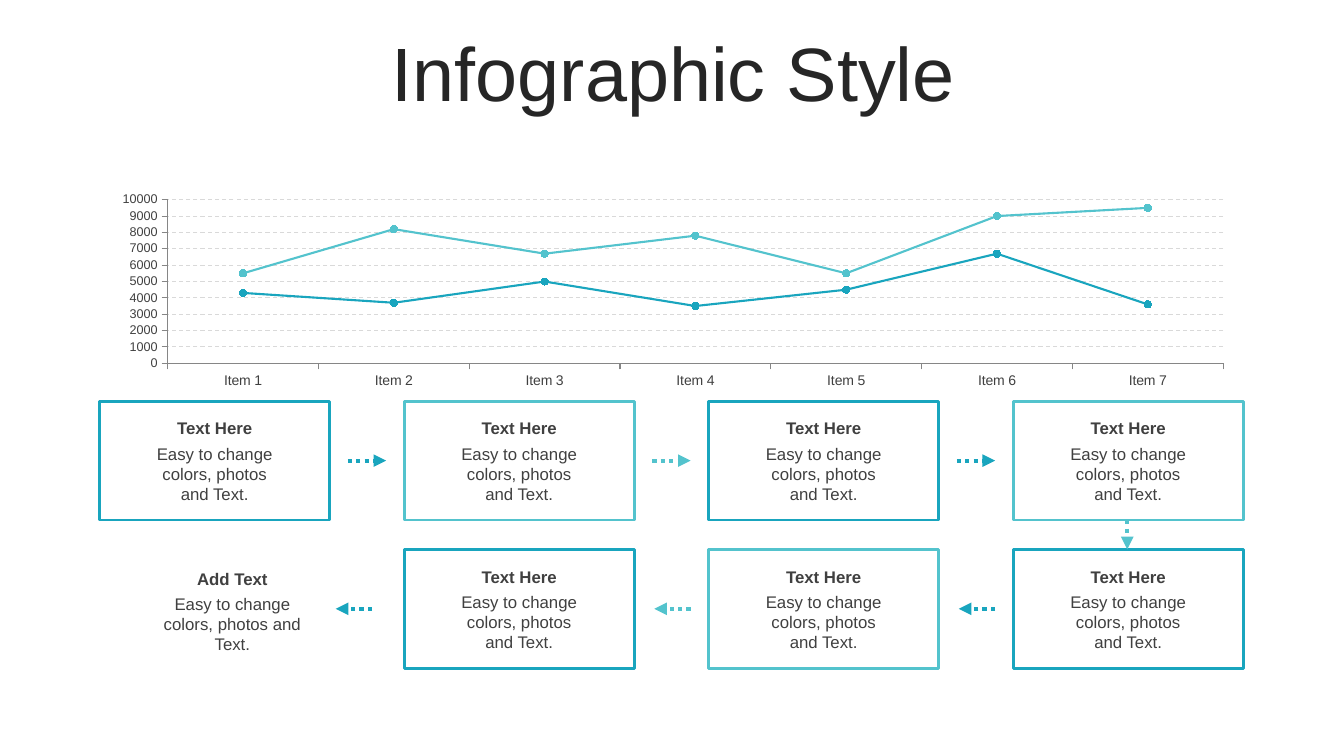
from lxml import etree
from pptx import Presentation
from pptx.chart import data
from pptx.dml import color
from pptx.enum import chart as ch, dml, shapes, text
from pptx.oxml import ns
from pptx.util import Inches, Pt

COLORS = {"teal": "19A5BE", "aqua": "53C3CD", "text": "404040", "title": "262626",
          "grid": "D9D9D9", "axis": "868686"}
BODY = "Easy to change colors, photos and Text."
BOX_W, BOX_H, PITCH = 2.28, 1.18, 3.02
LEFT, ROW1, ROW2 = 0.99, 3.98, 5.45


def rgb(name):
    return color.RGBColor.from_string(COLORS[name])


def box(x, y, w, h):
    return [Inches(round(v, 2)) for v in (x, y, w, h)]


def write(sp, words, size=12, tone="text", bold=False, anchor=text.MSO_ANCHOR.TOP, spacing=None):
    tf = sp.text_frame
    tf.word_wrap = True
    tf.auto_size = text.MSO_AUTO_SIZE.NONE
    tf.vertical_anchor = anchor
    p = tf.paragraphs[0]
    p.alignment = text.PP_ALIGN.CENTER
    p.space_before = Pt(0)
    p.line_spacing = spacing
    r = p.add_run()
    r.text = words
    r.font.name, r.font.size, r.font.bold = "Arial", Pt(size), bold
    r.font.color.rgb = rgb(tone)


def add_title(s, x, y, w, h):
    sp = s.shapes.title
    sp.left, sp.top, sp.width, sp.height = box(x, y, w, h)
    write(sp, "Infographic Style", size=54, tone="title",
          anchor=text.MSO_ANCHOR.MIDDLE, spacing=0.9)


def add_caption(s, x, y, w, heading):
    write(s.shapes.add_textbox(*box(x, y + 0.25, w, 0.71)), BODY)
    write(s.shapes.add_textbox(*box(x, y, w, 0.3)), heading, bold=True)


def add_card(s, x, y, tone):
    sp = s.shapes.add_shape(shapes.MSO_SHAPE.RECTANGLE, *box(x, y, BOX_W, BOX_H))
    sp.shadow.inherit = False
    sp.fill.background()
    sp.line.color.rgb = rgb(tone)
    sp.line.width = Pt(2)
    add_caption(s, x + 0.39, y + 0.12, 1.5, "Text Here")


def add_arrow(s, x1, y1, x2, y2, tone):
    c = s.shapes.add_connector(shapes.MSO_CONNECTOR.STRAIGHT, *box(x1, y1, x2, y2))
    c.line.color.rgb = rgb(tone)
    c.line.width = Pt(3)
    c.line.dash_style = dml.MSO_LINE.ROUND_DOT
    etree.SubElement(c.line._get_or_add_ln(), ns.qn("a:tailEnd"), type="triangle")
    etree.SubElement(c._element.spPr, ns.qn("a:effectLst"))


def add_flow(s):
    for i in range(4):
        x = LEFT + i * PITCH
        tone, other = ("aqua", "teal") if i % 2 else ("teal", "aqua")
        add_card(s, x, ROW1, tone)
        if i:
            add_card(s, x, ROW2, other)
        if i < 3:
            start = x + BOX_W + 0.18
            add_arrow(s, start, ROW1 + BOX_H / 2, start + 0.38, ROW1 + BOX_H / 2, tone)
            tip = start + 0.02 if i else 3.33
            add_arrow(s, tip + 0.36, ROW2 + BOX_H / 2, tip, ROW2 + BOX_H / 2, tone)
    add_arrow(s, 11.18, ROW1 + BOX_H, 11.18, ROW2, "aqua")
    add_caption(s, 1.4, 5.59, 1.81, "Add Text")


def set_plot_area(chart, **fractions):
    area = chart._chartSpace.chart.plotArea
    for old in area.findall(ns.qn("c:layout")):
        area.remove(old)
    layout = etree.Element(ns.qn("c:layout"))
    area.insert(0, layout)
    manual = etree.SubElement(layout, ns.qn("c:manualLayout"))
    settings = {"layoutTarget": "inner", "xMode": "edge", "yMode": "edge", **fractions}
    for key, value in settings.items():
        etree.SubElement(manual, ns.qn("c:" + key), val=str(value))


def place_points_between_ticks(axis):
    el = axis._element
    for old in el.findall(ns.qn("c:crossBetween")):
        el.remove(old)
    between = etree.Element(ns.qn("c:crossBetween"), val="between")
    el.find(ns.qn("c:crosses")).addnext(between)


def add_line_chart(s, x, y, w, h):
    cd = data.CategoryChartData()
    cd.categories = [f"Item {i}" for i in range(1, 8)]
    cd.add_series("Series 1", (4300, 3700, 5000, 3500, 4500, 6700, 3600))
    cd.add_series("Series 2", (5500, 8200, 6700, 7800, 5500, 9000, 9500))
    chart = s.shapes.add_chart(ch.XL_CHART_TYPE.LINE_MARKERS, *box(x, y, w, h), cd).chart
    chart.has_legend = False
    chart.has_title = False
    chart.font.name = "Arial"
    chart.plots[0].vary_by_categories = False
    for series, tone in zip(chart.plots[0].series, ("teal", "aqua")):
        series.smooth = False
        series.format.line.color.rgb = rgb(tone)
        series.format.line.width = Pt(1.5)
        m = series.marker
        m.style, m.size = ch.XL_MARKER_STYLE.CIRCLE, 5
        m.format.fill.solid()
        m.format.fill.fore_color.rgb = rgb(tone)
        m.format.line.color.rgb = rgb(tone)
    for axis, size in ((chart.category_axis, 10), (chart.value_axis, 9)):
        axis.major_tick_mark = ch.XL_TICK_MARK.OUTSIDE
        axis.minor_tick_mark = ch.XL_TICK_MARK.NONE
        axis.format.line.color.rgb = rgb("axis")
        font = axis.tick_labels.font
        font.name, font.size = "Arial", Pt(size)
        font.color.rgb = rgb("text")
    values = chart.value_axis
    values.minimum_scale, values.maximum_scale, values.major_unit = 0, 10000, 1000
    values.has_major_gridlines = True
    grid = values.major_gridlines.format.line
    grid.color.rgb = rgb("grid")
    grid.width = Pt(0.75)
    grid.dash_style = dml.MSO_LINE.DASH
    place_points_between_ticks(values)
    set_plot_area(chart, x=0.06, y=0.06, w=0.92, h=0.8)


def main():
    prs = Presentation()
    prs.slide_width, prs.slide_height = Inches(13.33), Inches(7.5)
    s = prs.slides.add_slide(prs.slide_layouts[5])
    add_title(s, 0.35, 0.37, 12.66, 0.79)
    add_flow(s)
    add_line_chart(s, 0.98, 1.86, 11.38, 2.03)
    prs.save("out.pptx")


if __name__ == "__main__":
    main()
